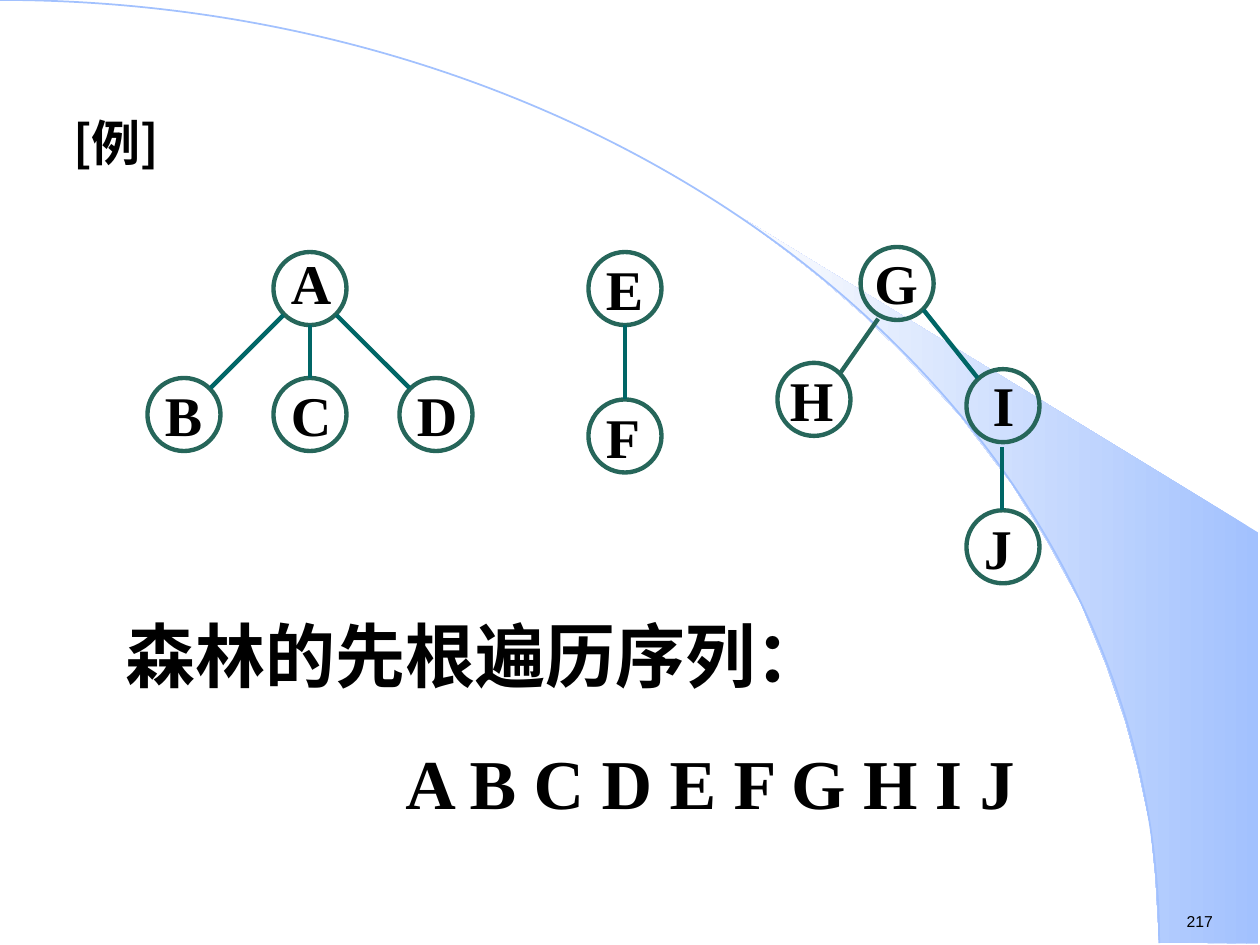
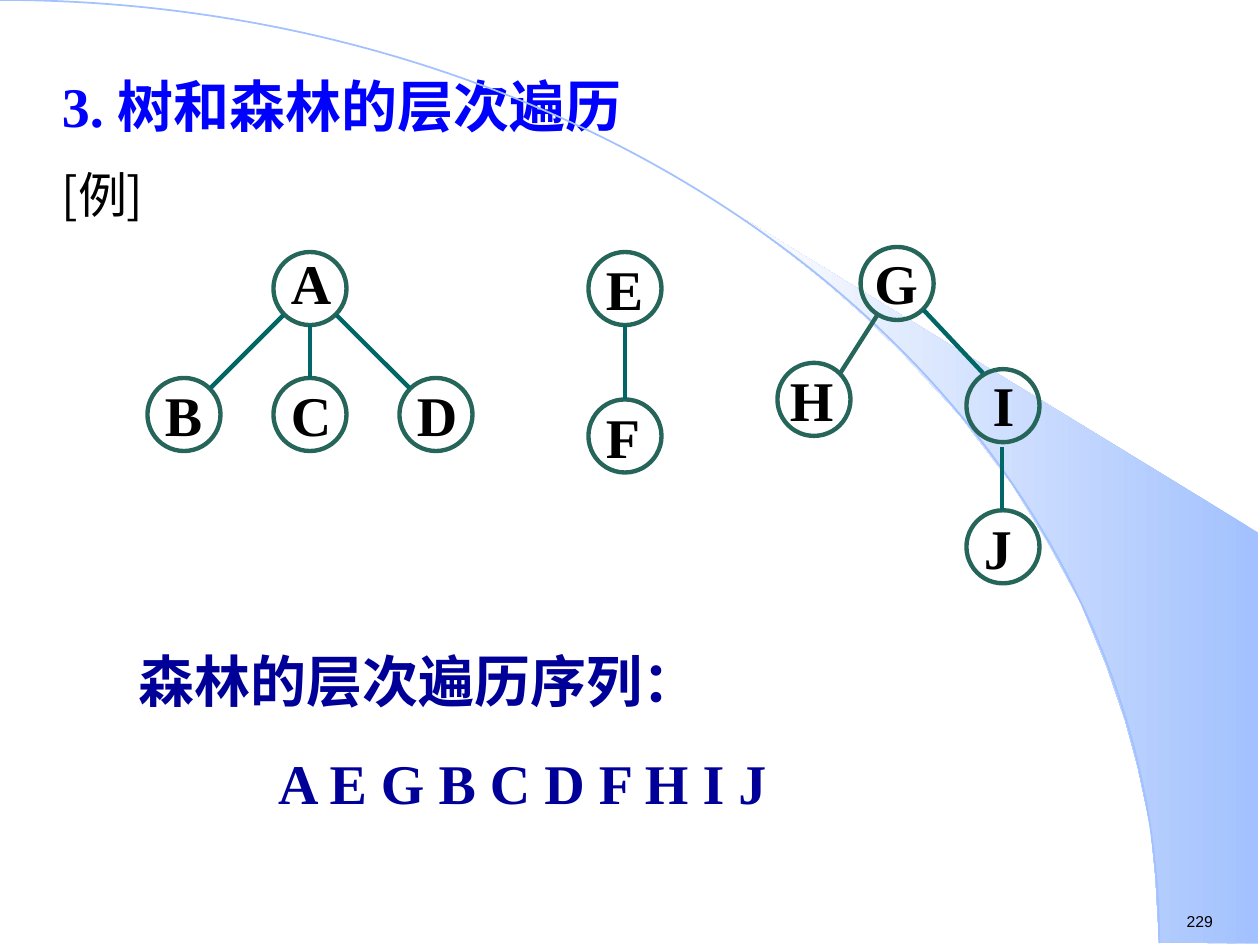
import pptx
import pptx.dml.color
import pptx.enum.shapes
import pptx.enum.text
import pptx.oxml.ns
import pptx.util
from lxml import etree

Inches = pptx.util.Inches
Pt = pptx.util.Pt
RGBColor = pptx.dml.color.RGBColor
Shape = pptx.enum.shapes.MSO_SHAPE

BLACK = RGBColor(0x00, 0x00, 0x00)
BLUE = RGBColor(0x00, 0x00, 0xFF)
NAVY = RGBColor(0x00, 0x00, 0x99)
NODE_GREEN = RGBColor(0x26, 0x66, 0x5A)
EDGE_TEAL = RGBColor(0x00, 0x66, 0x66)
SKY = RGBColor(0xA2, 0xC1, 0xFE)
NEAR_WHITE = RGBColor(0xFE, 0xFE, 0xFE)

SERIF = "Times New Roman"
CHINESE = "Noto Sans CJK SC"
NODE_SIZE = 0.58
LABEL_OFFSET = (0.04, -0.08)
LABEL_SPACING = 1.1

BAND_OUTLINE = [
    (9.2, 7.48), (9.99, 7.49), (9.99, 4.23), (5.89, 1.73), (6.24, 1.99), (6.53, 2.22),
    (6.85, 2.5), (7.16, 2.8), (7.62, 3.3), (8.03, 3.84), (8.32, 4.31), (8.58, 4.79),
    (8.78, 5.28), (8.93, 5.72), (9.03, 6.09), (9.13, 6.56), (9.17, 6.96),
]

NODES = {
    "A": (2.17, 2), "B": (1.17, 3), "C": (2.17, 3), "D": (3.17, 3),
    "E": (4.67, 2), "F": (4.67, 3.17),
    "G": (6.83, 1.96), "H": (6.17, 2.88), "I": (7.67, 2.93), "J": (7.67, 4.05),
}
LABEL_OFFSETS = {"G": (0.01, -0.04), "H": (0, -0.08), "I": (0.11, -0.09)}
LABEL_SPACINGS = {"A": 1, "G": 1}

SHARED_EDGES = [
    ((2.46, 2.58), (2.46, 3)),
    ((2.25, 2.5), (1.67, 3.08)),
    ((2.67, 2.5), (3.25, 3.08)),
    ((4.96, 2.58), (4.96, 3.17)),
    ((7.95, 3.55), (7.95, 4.05)),
]

SLIDES = [
    {
        "number": "217",
        "title": ("[例]", (0.48, 0.84, 8.85, 0.7), {"size": 28, "font": CHINESE, "bold": True}),
        "subtitle": None,
        "edge_to_h": ((6.97, 2.53), (6.67, 2.96)),
        "edge_to_i": ((7.33, 2.46), (7.76, 3)),
        "sequence": ["森林的先根遍历序列：", "A B C D E F G H I J"],
        "sequence_area": (0.9, 4.81, 7.67, 1.78),
        "sequence_format": {"size": 40, "bold": True, "space_before": 25},
        "sequence_indent": 2.22,
    },
    {
        "number": "229",
        "title": ("3. 树和森林的层次遍历", (0.39, 0.52, 8.62, 0.75),
                  {"size": 32, "color": BLUE, "bold": True}),
        "subtitle": ("[例]", (0.39, 1.26, 8.62, 0.7), {"size": 28, "font": CHINESE}),
        "edge_to_h": ((6.97, 2.49), (6.67, 2.96)),
        "edge_to_i": ((7.33, 2.46), (7.8, 2.96)),
        "sequence": ["森林的层次遍历序列：", "A E G B C D F H I J"],
        "sequence_area": (1, 5.08, 7.67, 1.45),
        "sequence_format": {"size": 32, "color": NAVY, "bold": True, "space_before": 20},
        "sequence_indent": 1.11,
    },
]


def write_text(box, lines, size, font=SERIF, color=BLACK, bold=False,
               spacing=1, space_before=0, last_indent=0, wrap=True):
    """Fill a box with top-left paragraphs; last_indent shifts the final one, in inches."""
    frame = box.text_frame
    frame.word_wrap = wrap
    frame.auto_size = pptx.enum.text.MSO_AUTO_SIZE.NONE
    frame.vertical_anchor = pptx.enum.text.MSO_ANCHOR.TOP
    for index, line in enumerate(lines):
        para = frame.add_paragraph() if index else frame.paragraphs[0]
        para.alignment = pptx.enum.text.PP_ALIGN.LEFT
        para.line_spacing = spacing
        if index:
            para.space_before = Pt(space_before)
        if last_indent and index == len(lines) - 1:
            para._p.get_or_add_pPr().set("marL", str(Inches(last_indent)))
        span = para.add_run()
        span.text = line
        span.font.size = Pt(size)
        span.font.name = font
        span.font.bold = bold
        span.font.color.rgb = color
        east_asian = etree.SubElement(span._r.get_or_add_rPr(), pptx.oxml.ns.qn("a:ea"))
        east_asian.set("typeface", CHINESE)


def add_text(page, lines, area, **text_format):
    box = page.shapes.add_textbox(*map(Inches, area))
    write_text(box, lines, **text_format)


def add_outline_shape(page, kind, area, color, width):
    shape = page.shapes.add_shape(kind, *map(Inches, area))
    shape.shadow.inherit = False
    shape.fill.background()
    shape.line.color.rgb = color
    shape.line.width = Pt(width)


def add_backdrop(page, number):
    points = [(Inches(x), Inches(y)) for x, y in BAND_OUTLINE]
    builder = page.shapes.build_freeform(*points[0])
    builder.add_line_segments(points[1:], close=True)
    band = builder.convert_to_shape()
    band.shadow.inherit = False
    band.line.fill.background()
    band.fill.gradient()
    band.fill.gradient_angle = 180
    for stop, color in zip(band.fill.gradient_stops, (SKY, NEAR_WHITE)):
        stop.color.rgb = color
    add_outline_shape(page, Shape.ARC, (-9.2, 0, 18.4, 14.97), SKY, 1)
    add_text(page, [number], (9.32, 7.19, 0.77, 0.25), size=9, font="Arial", wrap=False)


def add_edge(page, start, end, color=EDGE_TEAL):
    edge = page.shapes.add_connector(
        pptx.enum.shapes.MSO_CONNECTOR.STRAIGHT, *map(Inches, start + end))
    edge.line.color.rgb = color
    edge.line.width = Pt(2.5)
    etree.SubElement(edge._element.spPr, pptx.oxml.ns.qn("a:effectLst"))


def add_forest(page, content):
    for name, (left, top) in NODES.items():
        add_outline_shape(page, Shape.OVAL, (left, top, NODE_SIZE, NODE_SIZE), NODE_GREEN, 2.5)
        shift_x, shift_y = LABEL_OFFSETS.get(name, LABEL_OFFSET)
        add_text(page, [name], (left + shift_x, top + shift_y, NODE_SIZE, 0.69),
                 size=32, bold=True, spacing=LABEL_SPACINGS.get(name, LABEL_SPACING))
    for start, end in SHARED_EDGES + [content["edge_to_i"]]:
        add_edge(page, start, end)
    add_edge(page, *content["edge_to_h"], color=NODE_GREEN)


def add_page(deck, content):
    page = deck.slides.add_slide(deck.slide_layouts[5])
    add_backdrop(page, content["number"])
    text, area, text_format = content["title"]
    title = page.shapes.title
    title.left, title.top, title.width, title.height = map(Inches, area)
    write_text(title, [text], **text_format)
    if content["subtitle"]:
        text, area, text_format = content["subtitle"]
        add_text(page, [text], area, **text_format)
    add_forest(page, content)
    add_text(page, content["sequence"], content["sequence_area"],
             last_indent=content["sequence_indent"], **content["sequence_format"])


def main():
    deck = pptx.Presentation()
    deck.slide_width, deck.slide_height = Inches(10), Inches(7.5)
    for content in SLIDES:
        add_page(deck, content)
    deck.save("out.pptx")


if __name__ == "__main__":
    main()
